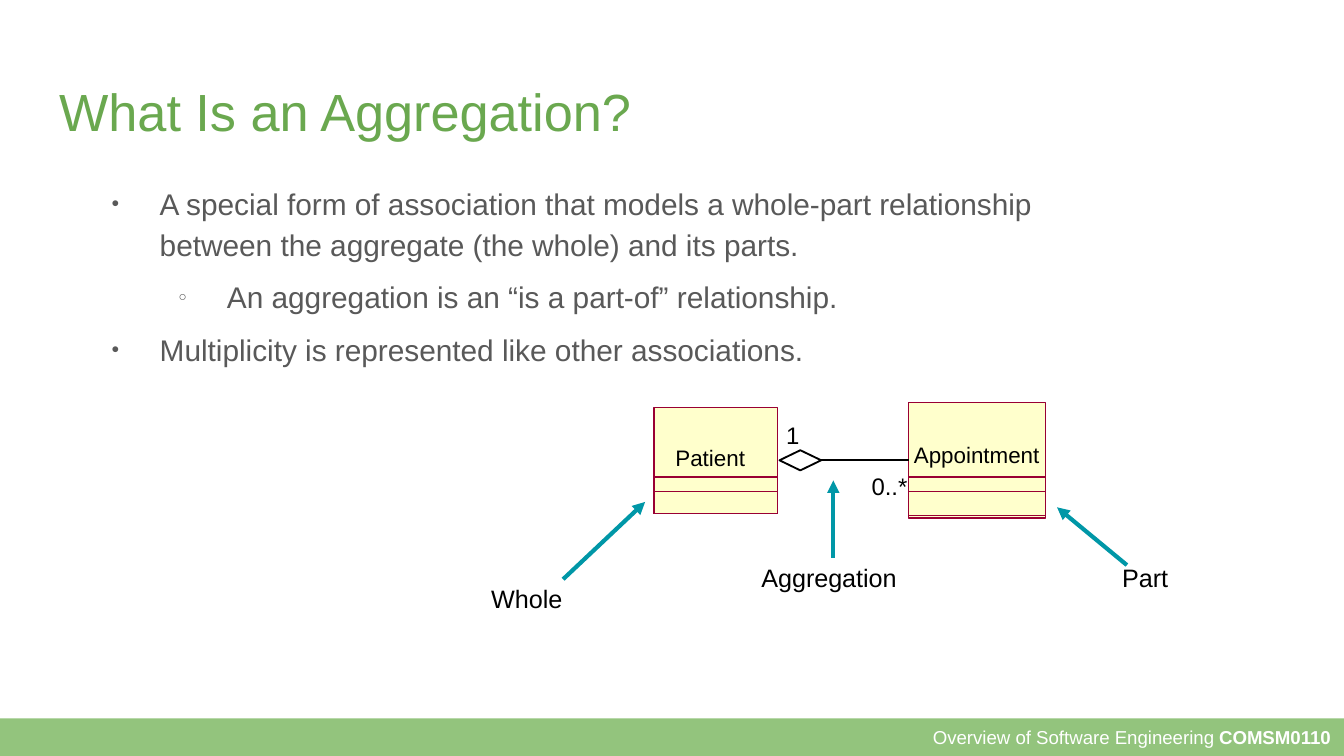
from dataclasses import dataclass

from lxml.etree import SubElement
from pptx import Presentation
from pptx.dml.color import RGBColor
from pptx.enum.shapes import MSO_CONNECTOR, MSO_SHAPE
from pptx.enum.text import MSO_ANCHOR, MSO_AUTO_SIZE, PP_ALIGN
from pptx.oxml.ns import qn
from pptx.util import Pt

PIXEL = 4572  # EMU, 200 px to the inch


@dataclass(frozen=True)
class Theme:
    font: str = "Arial"
    title: str = "6AA84F"
    body: str = "595959"
    ink: str = "000000"
    white: str = "FFFFFF"
    footer: str = "93C47D"
    class_fill: str = "FFFFCC"
    class_line: str = "990033"
    arrow: str = "0097A7"
    title_size: float = 28
    body_size: float = 16
    label_size: float = 13.5
    multiplicity_size: float = 12.8
    class_size: float = 12
    footer_size: float = 10


@dataclass(frozen=True)
class Box:
    left: int
    top: int
    width: int
    height: int

    def emu(self) -> tuple:
        return tuple(v * PIXEL for v in (self.left, self.top, self.width, self.height))


@dataclass(frozen=True)
class Bullet:
    text: str
    level: int = 0
    gap: int = 0


@dataclass(frozen=True)
class UmlClass:
    name: str
    box: Box
    name_box: Box
    compartments: tuple  # (top, bottom) of each inner frame


@dataclass(frozen=True)
class Label:
    text: str
    box: Box
    size: float
    inset: tuple = (0, 0)


@dataclass(frozen=True)
class Arrow:
    start: tuple
    end: tuple


THEME = Theme()
BULLETS = (
    Bullet("A special form of association that models a whole-part relationship "
           "between the aggregate (the whole) and its parts."),
    Bullet("An aggregation is an “is a part-of” relationship.", level=1, gap=6),
    Bullet("Multiplicity is represented like other associations."),
)
PATIENT = UmlClass("Patient", Box(973, 606, 184, 158), Box(1005, 661, 104, 40),
                   ((710, 764), (731, 764)))
APPOINTMENT = UmlClass("Appointment", Box(1352, 599, 204, 172), Box(1360, 657, 212, 40),
                       ((710, 770), (731, 767)))
LABELS = (
    Label("0..*", Box(1297, 702, 60, 42), THEME.multiplicity_size),
    Label("1", Box(1170, 626, 20, 42), THEME.multiplicity_size),
    Label("Aggregation", Box(1115, 829, 330, 64), THEME.label_size, (18, 8)),
    Label("Whole", Box(713, 860, 330, 64), THEME.label_size, (18, 8)),
    Label("Part", Box(1652, 829, 144, 64), THEME.label_size, (18, 8)),
)
ARROWS = (
    Arrow((1240, 830), (1240, 715)),
    Arrow((838, 862), (960, 747)),
    Arrow((1677, 841), (1573, 755)),
)


def color(value: str) -> RGBColor:
    return RGBColor.from_string(value)


def format_runs(paragraph, size: float, ink: str) -> None:
    for run in paragraph.runs:
        run.font.name = THEME.font
        run.font.size = Pt(size)
        run.font.color.rgb = color(ink)


def set_frame(text_frame, inset: tuple, anchor=MSO_ANCHOR.TOP) -> None:
    text_frame.word_wrap = True
    text_frame.auto_size = MSO_AUTO_SIZE.NONE
    text_frame.vertical_anchor = anchor
    horizontal, vertical = (value * PIXEL for value in inset)
    text_frame.margin_left = text_frame.margin_right = horizontal
    text_frame.margin_top = text_frame.margin_bottom = vertical


def add_outline(slide, kind, box: Box, fill=None, line=None, width: float = 0):
    shape = slide.shapes.add_shape(kind, *box.emu())
    shape.shadow.inherit = False
    if fill:
        shape.fill.solid()
        shape.fill.fore_color.rgb = color(fill)
    else:
        shape.fill.background()
    if line:
        shape.line.color.rgb = color(line)
        shape.line.width = Pt(width)
    else:
        shape.line.fill.background()
    return shape


def add_label(slide, label: Label) -> None:
    text_frame = slide.shapes.add_textbox(*label.box.emu()).text_frame
    set_frame(text_frame, label.inset)
    text_frame.text = label.text
    format_runs(text_frame.paragraphs[0], label.size, THEME.ink)


def add_line(slide, start: tuple, end: tuple, ink: str, width: float):
    connector = slide.shapes.add_connector(
        MSO_CONNECTOR.STRAIGHT, *(value * PIXEL for value in start + end))
    connector.line.color.rgb = color(ink)
    connector.line.width = Pt(width)
    SubElement(connector._element.spPr, qn("a:effectLst"))
    return connector


def add_arrow(slide, arrow: Arrow) -> None:
    connector = add_line(slide, arrow.start, arrow.end, THEME.arrow, 2.25)
    SubElement(connector.line._get_or_add_ln(), qn("a:tailEnd"), type="triangle")


def add_class(slide, uml_class: UmlClass):
    box = uml_class.box
    frame = add_outline(slide, MSO_SHAPE.RECTANGLE, box, THEME.class_fill, THEME.class_line)
    for top, bottom in uml_class.compartments:
        inner = Box(box.left, top, box.width, bottom - top)
        add_outline(slide, MSO_SHAPE.RECTANGLE, inner, line=THEME.class_line)
    add_label(slide, Label(uml_class.name, uml_class.name_box, THEME.class_size))
    return frame


def add_bullet(paragraph, bullet: Bullet) -> None:
    paragraph.text = bullet.text
    paragraph.level = bullet.level
    paragraph.line_spacing = 1.15
    paragraph.space_before = paragraph.space_after = Pt(bullet.gap)
    format_runs(paragraph, THEME.body_size, THEME.body)
    properties = paragraph._p.get_or_add_pPr()
    properties.set("marL", str((100 + 100 * bullet.level) * PIXEL))
    properties.set("indent", str(-72 * PIXEL))
    SubElement(SubElement(properties, qn("a:buClr")), qn("a:srgbClr"), val=THEME.body)
    SubElement(properties, qn("a:buSzPct"), val="45000")
    SubElement(properties, qn("a:buFont"), typeface=THEME.font)
    SubElement(properties, qn("a:buChar"), char="●○"[bullet.level])


def add_footer(slide) -> None:
    bar = add_outline(slide, MSO_SHAPE.RECTANGLE, Box(0, 1069, 2000, 56), THEME.footer)
    set_frame(bar.text_frame, (20, 20), MSO_ANCHOR.MIDDLE)
    paragraph = bar.text_frame.paragraphs[0]
    paragraph.alignment = PP_ALIGN.RIGHT
    paragraph.add_run().text = "Overview of Software Engineering "
    course = paragraph.add_run()
    course.text = "COMSM0110"
    course.font.bold = True
    format_runs(paragraph, THEME.footer_size, THEME.white)


def add_title(slide) -> None:
    title = slide.shapes.title
    title.left, title.top, title.width, title.height = Box(68, 98, 1864, 126).emu()
    set_frame(title.text_frame, (20, 20))
    title.text_frame.text = "What Is an Aggregation?"
    paragraph = title.text_frame.paragraphs[0]
    paragraph.alignment = PP_ALIGN.LEFT
    format_runs(paragraph, THEME.title_size, THEME.title)


def main() -> None:
    presentation = Presentation()
    presentation.slide_width, presentation.slide_height = 2000 * PIXEL, 1125 * PIXEL
    slide = presentation.slides.add_slide(presentation.slide_layouts[5])
    add_footer(slide)
    add_title(slide)

    # Definition
    text_frame = slide.shapes.add_textbox(*Box(118, 248, 1610, 556).emu()).text_frame
    set_frame(text_frame, (20, 20))
    for index, bullet in enumerate(BULLETS):
        add_bullet(text_frame.add_paragraph() if index else text_frame.paragraphs[0], bullet)

    # Class diagram
    add_class(slide, PATIENT)
    appointment = add_class(slide, APPOINTMENT)
    diamond = add_outline(slide, MSO_SHAPE.DIAMOND, Box(1160, 670, 62, 30), line=THEME.ink, width=1)
    association = add_line(slide, (1222, 685), (1352, 685), THEME.ink, 1)
    association.begin_connect(diamond, 3)
    association.end_connect(appointment, 1)

    # Annotations
    for label in LABELS:
        add_label(slide, label)
    for arrow in ARROWS:
        add_arrow(slide, arrow)
    presentation.save("out.pptx")


if __name__ == "__main__":
    main()
